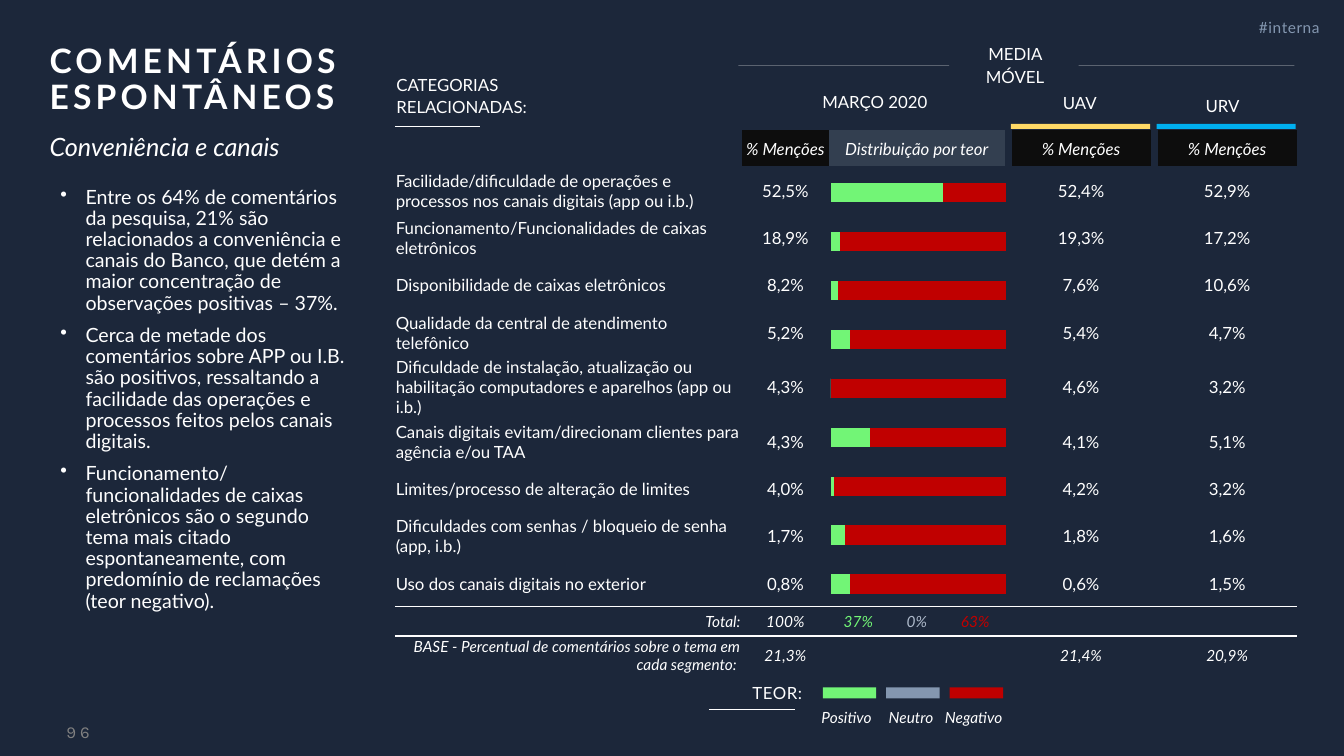
from lxml.etree import SubElement
from pptx import Presentation
from pptx.chart.data import CategoryChartData as ChartData
from pptx.dml.color import RGBColor
from pptx.enum.chart import XL_CHART_TYPE as ChartKind
from pptx.enum.shapes import MSO_CONNECTOR as Connector, MSO_SHAPE as Shape
from pptx.enum.text import MSO_ANCHOR as Anchor, PP_ALIGN as Align
from pptx.oxml import parse_xml
from pptx.oxml.ns import nsdecls, qn
from pptx.util import Inches, Pt

NAVY = RGBColor(0x1C, 0x27, 0x3A)
WHITE = RGBColor(0xFF, 0xFF, 0xFF)
BLACK = RGBColor(0x0D, 0x0D, 0x0D)
SLATE = RGBColor(0x33, 0x3F, 0x50)
GRAY = RGBColor(0x80, 0x80, 0x80)
SILVER = RGBColor(0xAF, 0xAB, 0xAB)
MIST = RGBColor(0xAD, 0xB9, 0xCA)
STEEL = RGBColor(0x84, 0x97, 0xB0)
GREEN = RGBColor(0x72, 0xF5, 0x76)
RED = RGBColor(0xC0, 0x00, 0x00)
YELLOW = RGBColor(0xFF, 0xD9, 0x66)
BLUE = RGBColor(0x00, 0xB0, 0xF0)

deck = Presentation()
deck.slide_width, deck.slide_height = Inches(13.33), Inches(7.5)
COLUMN, ROW = deck.slide_width / 160, deck.slide_height / 90
page = deck.slides.add_slide(deck.slide_layouts[6])
page.background.fill.solid()
page.background.fill.fore_color.rgb = NAVY


def area(*cells):
    return [round(cell * step) for cell, step in zip(cells, (COLUMN, ROW) * 2)]


def write(frame, text, size=12, color=WHITE, font="Lato", bold=False, italic=False,
          align=Align.LEFT, leading=None, before=0, after=0, spacing=0, bullet=False):
    for index, line in enumerate(text.split("\n")):
        para = frame.add_paragraph() if index else frame.paragraphs[0]
        para.alignment = align
        if leading:
            para.line_spacing = leading
        para.space_before, para.space_after = Pt(before if index else 0), Pt(after)
        if bullet:
            props = para._p.get_or_add_pPr()
            props.set("marL", str(Inches(0.25)))
            props.set("indent", str(-Inches(0.25)))
            SubElement(props, qn("a:buChar")).set("char", "•")
        span = para.add_run()
        span.text = line
        span.font.size, span.font.name = Pt(size), font
        span.font.bold, span.font.italic = bold, italic
        span.font.color.rgb = color
        if spacing:
            span._r.get_or_add_rPr().set("spc", str(round(spacing * 100)))


shares = ["% Menções", "Distribuição por teor", "% Menções", "% Menções"]
categories = [
    ("Facilidade/dificuldade de operações e processos nos canais digitais (app ou i.b.)",
     "52,5%", "52,4%", "52,9%"),
    ("Funcionamento/Funcionalidades de caixas eletrônicos", "18,9%", "19,3%", "17,2%"),
    ("Disponibilidade de caixas eletrônicos", "8,2%", "7,6%", "10,6%"),
    ("Qualidade da central de atendimento telefônico", "5,2%", "5,4%", "4,7%"),
    ("Dificuldade de instalação, atualização ou habilitação computadores e aparelhos "
     "(app ou i.b.)", "4,3%", "4,6%", "3,2%"),
    ("Canais digitais evitam/direcionam clientes para agência e/ou TAA",
     "4,3%", "4,1%", "5,1%"),
    ("Limites/processo de alteração de limites", "4,0%", "4,2%", "3,2%"),
    ("Dificuldades com senhas / bloqueio de senha (app, i.b.)", "1,7%", "1,8%", "1,6%"),
    ("Uso dos canais digitais no exterior", "0,8%", "0,6%", "1,5%"),
]
base = ("BASE - Percentual de comentários sobre o tema em cada segmento: ",
        "21,3%", "21,4%", "20,9%")
grid = [dict(zip((1, 2, 7, 9), shares))]
grid += [dict(zip((0, 1, 7, 9), row)) for row in categories]
grid += [dict(enumerate(("Total:", "100%", "37%", "0%"))) | {5: "63%"}]
grid += [dict(zip((0, 1, 7, 9), base))]
LAST, TOTAL = len(categories), len(categories) + 1
tones = {2: GREEN, 3: MIST, 5: RED}
widths = [41.28, 10.44, 6.96, 3.48, 3.48, 6.96, 0.84, 16.56, 0.84, 16.56]
heights = [4.32] + [5.64] * len(categories) + [3.48, 4.44]

holder = page.shapes.add_table(len(heights), len(widths),
                               *area(47, 15.5, sum(widths), sum(heights)))
table = holder.table
table.first_row = table.horz_banding = False
table._tbl.tblPr.find(qn("a:tableStyleId")).text = "{2D5ABB26-0587-4C30-8999-92F81FD0307C}"
for column, width in zip(table.columns, widths):
    column.width = round(width * COLUMN)
for number, (row, height) in enumerate(zip(table.rows, heights)):
    row.height = round(height * ROW)
    merges = {0: [(2, 5)], TOTAL: [(3, 4)]}.get(number, [(2, 3), (4, 5)])
    for first, final in merges:
        table.cell(number, first).merge(table.cell(number, final))
    for place, cell in enumerate(row.cells):
        cell.vertical_anchor = Anchor.MIDDLE
        cell.margin_left = cell.margin_right = cell.margin_top = Inches(0.01)
        cell.margin_bottom = 0
        text = grid[number].get(place)
        summary = number >= TOTAL
        if text:
            side = Align.CENTER if place else Align.RIGHT if summary else Align.LEFT
            tone = tones.get(place, WHITE) if number == TOTAL else WHITE
            write(cell.text_frame, text, size=11 if summary else 12, color=tone,
                  italic=summary or number == 0, align=side)
        else:
            SubElement(cell.text_frame.paragraphs[0]._p, qn("a:endParaRPr")).set("sz", "1100")
        if number == 0 and text:
            cell.fill.solid()
            cell.fill.fore_color.rgb = SLATE if place == 2 else BLACK
        else:
            cell.fill.background()
        if number in (LAST, TOTAL):
            edge = "lnB" if number == LAST else "lnT"
            cell._tc.get_or_add_tcPr().insert(0, parse_xml(
                f'<a:{edge} {nsdecls("a")} w="12700"><a:solidFill>'
                f'<a:srgbClr val="{WHITE}"/></a:solidFill></a:{edge}>'))

MIDDLE, TOP = Anchor.MIDDLE, Anchor.TOP
USUAL, FLUSH, NONE = (0.1, 0.05, 0.1, 0.05), (0, 0.05, 0, 0.05), (0, 0, 0, 0)
label = dict(leading=1.1, after=10)
centered = dict(label, align=Align.CENTER)
legend = dict(size=11, italic=True)
remarks = """Entre os 64% de comentários da pesquisa, 21% são relacionados a conveniência e canais do Banco, que detém a maior concentração de observações positivas – 37%.
Cerca de metade dos comentários sobre APP ou I.B. são positivos, ressaltando a facilidade das operações e processos feitos pelos canais digitais.
Funcionamento/funcionalidades de caixas eletrônicos são o segundo tema mais citado espontaneamente, com predomínio de reclamações (teor negativo)."""
texts = [
    ("COMENTÁRIOS ESPONTÂNEOS", (5.9, 4.7, 39.2, 10), TOP, (0, 0.05, 0.1, 0.05),
     dict(size=24, bold=True, leading=0.9, spacing=3)),
    ("Conveniência e canais", (5.9, 15.4, 37, 5), TOP, FLUSH,
     dict(size=18, italic=True, leading=0.9)),
    (remarks, (6, 21.7, 36.8, 53.4), TOP, USUAL,
     dict(size=14, leading=0.9, before=8, bullet=True)),
    ("CATEGORIAS RELACIONADAS:", (46, 9.5, 28, 3.5), MIDDLE, USUAL, label),
    ("MARÇO 2020", (95.2, 10.3, 17.9, 3.5), MIDDLE, USUAL, centered),
    ("MEDIA MÓVEL", (113, 5.9, 15.7, 3.5), MIDDLE, USUAL, centered),
    ("UAV", (125, 10.4, 7.1, 3.4), MIDDLE, USUAL, centered),
    ("URV", (142, 10.3, 7.1, 4.3), MIDDLE, USUAL, centered),
    ("TEOR:", (88.4, 80.3, 8.4, 4.2), MIDDLE, USUAL, dict(label, spacing=0.4)),
    ("Positivo", (97.8, 83.8, 6.4, 3.2), MIDDLE, NONE, legend),
    ("Neutro", (105.8, 83.8, 6.4, 3.2), MIDDLE, NONE, legend),
    ("Negativo", (112.5, 83.8, 8.4, 3.2), MIDDLE, NONE, legend),
    ("#interna", (145.8, 1.4, 11.3, 3.5), TOP, FLUSH,
     dict(size=11, color=STEEL, align=Align.RIGHT, leading=1.1, spacing=0.4)),
    ("96", (1.2, 84.7, 9.5, 4.8), MIDDLE, (0.1, 0.05, 0, 0.05),
     dict(color=GRAY, font="Karla", align=Align.RIGHT, spacing=3)),
]
for text, spot, anchor, insets, style in texts:
    frame = page.shapes.add_textbox(*area(*spot)).text_frame
    frame.word_wrap, frame.vertical_anchor = True, anchor
    (frame.margin_left, frame.margin_top,
     frame.margin_right, frame.margin_bottom) = map(Inches, insets)
    write(frame, text, **style)

bars = [(YELLOW, 120.36, 14.76, 16.56, 0.6), (BLUE, 137.7, 14.76, 16.56, 0.6)]
bars += [(color, 97.95 + 7.56 * index, 81.84, 6.36, 1.32)
         for index, color in enumerate((GREEN, STEEL, RED))]
for color, *spot in bars:
    bar = page.shapes.add_shape(Shape.RECTANGLE, *area(*spot))
    bar.shadow.inherit = False
    bar.fill.solid()
    bar.fill.fore_color.rgb = color
    bar.line.fill.background()

rules = [(47, 57.1, 15.1, 100), (84.4, 94.6, 84.5, 100),
         (87.9, 113, 7.8, 28), (128.4, 154.1, 7.8, 28)]
for start, end, level, opacity in rules:
    rule = page.shapes.add_connector(Connector.STRAIGHT, *area(start, level, end, level))
    rule.line.width = Pt(0.5)
    rule.line.color.rgb = WHITE
    SubElement(rule._element.spPr, qn("a:effectLst"))
    if opacity < 100:
        tint = next(rule._element.spPr.iter(qn("a:srgbClr")))
        SubElement(tint, qn("a:alpha")).set("val", str(opacity * 1000))

positive = [64, 5, 4, 11, 0, 22, 2, 8, 11]
negative = [36, 95, 96, 89, 100, 78, 98, 92, 89]
data = ChartData()
data.categories = [str(number + 1) for number in range(len(positive))]
for name, values in (("Positivo", positive), ("Neutro", [0] * len(positive)),
                     ("Negativo", negative)):
    data.add_series(name, values)
chart = page.shapes.add_chart(ChartKind.BAR_STACKED, *area(97.44, 18.96, 24.6, 53.52),
                              data).chart
chart.has_legend = chart.has_title = False
chart.font.size, chart.font.name = Pt(10), "Calibri"
chart.font.color.rgb = RGBColor(0, 0, 0)
chart.category_axis.reverse_order = True
chart.category_axis.visible = chart.value_axis.visible = False
chart.value_axis.has_major_gridlines = False
chart.value_axis.minimum_scale, chart.value_axis.maximum_scale = 0, 100
plot = chart.plots[0]
plot.gap_width, plot.overlap, plot.vary_by_categories = 150, 100, False
for series, color in zip(plot.series, (GREEN, SILVER, RED)):
    series.format.fill.solid()
    series.format.fill.fore_color.rgb = color
plot_area = chart._chartSpace.chart.plotArea
for old in plot_area.findall(qn("c:layout")):
    plot_area.remove(old)
layout = parse_xml(f'<c:layout {nsdecls("c")}><c:manualLayout/></c:layout>')
for tag, value in (("layoutTarget", "inner"), ("xMode", "edge"), ("yMode", "edge"),
                   ("x", 0.06), ("y", 0.02), ("w", 0.85), ("h", 0.98)):
    SubElement(layout[0], qn(f"c:{tag}")).set("val", str(value))
plot_area.insert(0, layout)
chart._chartSpace.find(qn("c:txPr")).addprevious(parse_xml(
    f'<c:spPr {nsdecls("c", "a")}><a:noFill/><a:ln><a:noFill/></a:ln></c:spPr>'))

deck.save("out.pptx")
